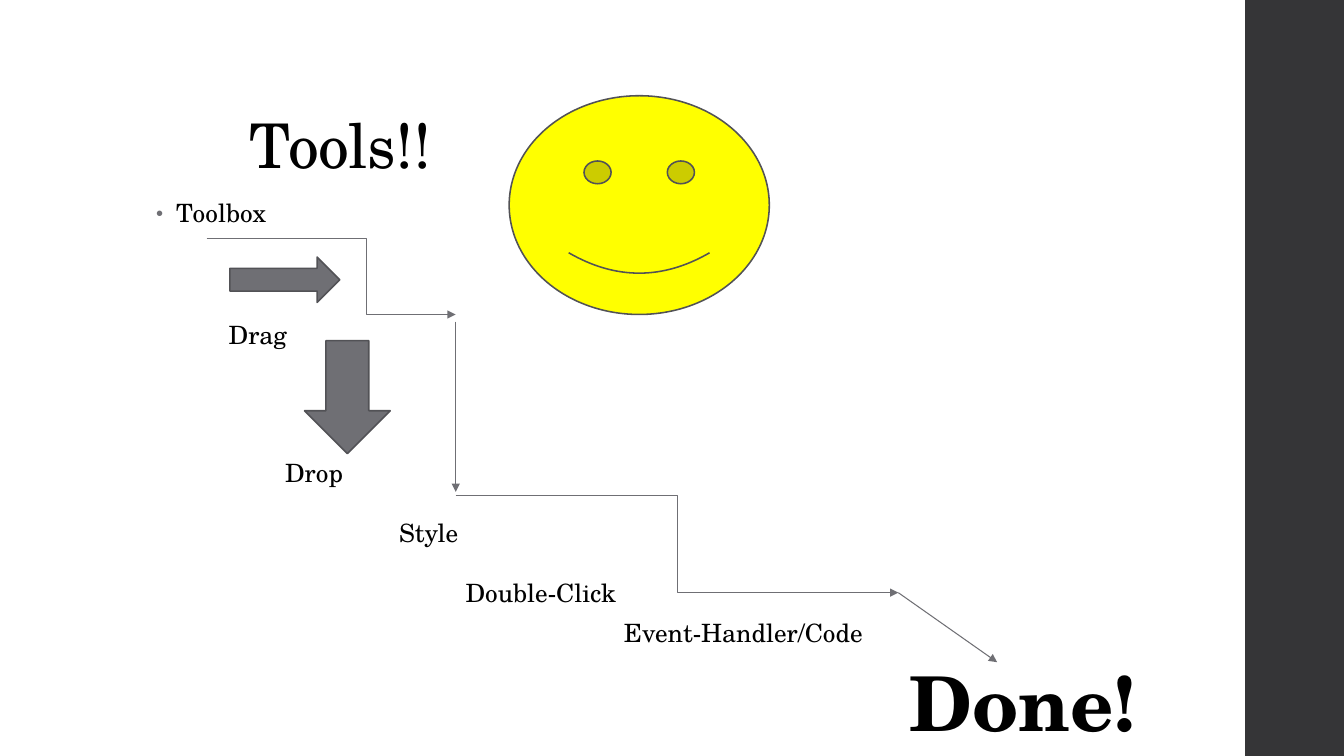
import pptx
import pptx.util
import pptx.oxml
import pptx.oxml.ns
from dataclasses import dataclass
from pptx.dml.color import RGBColor
from pptx.enum.shapes import MSO_CONNECTOR, MSO_SHAPE
from pptx.enum.text import MSO_ANCHOR, PP_ALIGN

Inches, Pt = pptx.util.Inches, pptx.util.Pt
NS = pptx.oxml.ns.nsdecls("a")


@dataclass
class Theme:
    font: str = "TeX Gyre Schola"
    text: str = "000000"
    band: str = "353537"
    gray: str = "6F6F74"
    edge: str = "525256"
    smiley: str = "FFFF00"
    white: str = "FFFFFF"
    title: int = 44
    body: int = 18
    done: int = 54


theme = Theme()
prs = pptx.Presentation()
prs.slide_width, prs.slide_height = Inches(13.33), Inches(7.5)
s = prs.slides.add_slide(prs.slide_layouts[6])


def add_text(text, box, size, wrap=True):
    tb = s.shapes.add_textbox(*map(Inches, box))
    tf = tb.text_frame
    tf.word_wrap = wrap
    p = tf.paragraphs[0]
    r = p.add_run()
    r.text = text
    r.font.name = theme.font
    r.font.size = Pt(size)
    r.font.color.rgb = RGBColor.from_string(theme.text)
    return tf, p, r


def add_preset(kind, box, fill, edge=None):
    sp = s.shapes.add_shape(kind, *map(Inches, box))
    sp.shadow.inherit = False
    sp.fill.solid()
    sp.fill.fore_color.rgb = RGBColor.from_string(fill)
    if edge:
        sp.line.color.rgb = RGBColor.from_string(edge)
        sp.line.width = Pt(1.1)
    else:
        sp.line.fill.background()


# Side band
add_preset(MSO_SHAPE.RECTANGLE, (12.35, 0, 1, 7.5), theme.band)

# Title, indented one inch
tf, p, r = add_text("Tools!!", (1.38, 0.4, 10.6, 1.45), theme.title)
tf.vertical_anchor = MSO_ANCHOR.BOTTOM
p.line_spacing = 0.9
p._p.get_or_add_pPr().set("marL", str(Inches(1)))
r._r.get_or_add_rPr().set("spc", "-50")

# Bulleted first step
tf, p, r = add_text("Toolbox", (1.45, 1.93, 9.4, 4.76), theme.body)
p.line_spacing = 0.95
p.space_before, p.space_after = Pt(14), Pt(2)
pPr = p._p.get_or_add_pPr()
pPr.set("marL", str(Inches(0.2)))
pPr.set("indent", str(Inches(-0.2)))
for bullet in (f'<a:buClr {NS}><a:srgbClr val="{theme.gray}"/></a:buClr>',
               f'<a:buSzPct {NS} val="80000"/>',
               f'<a:buFont {NS} typeface="Arial"/>',
               f'<a:buChar {NS} char="•"/>'):
    pPr.append(pptx.oxml.parse_xml(bullet))
r._r.get_or_add_rPr().set("spc", "10")

# Block arrows and smiley
for kind, box, fill in (
    (MSO_SHAPE.RIGHT_ARROW, (2.28, 2.55, 1.09, 0.45), theme.gray),
    (MSO_SHAPE.DOWN_ARROW, (3.02, 3.38, 0.85, 1.12), theme.gray),
    (MSO_SHAPE.SMILEY_FACE, (5.05, 0.95, 2.58, 2.17), theme.smiley),
):
    add_preset(kind, box, fill, theme.edge)

# Step labels
for label, left, top, width in (
    ("Drag", 2.17, 3.12, 1),
    ("Drop", 2.73, 4.49, 1.53),
    ("Style", 3.86, 5.08, 1.18),
    ("Double-Click", 4.52, 5.68, 1.77),
    ("Event-Handler/Code", 6.09, 6.08, 2.62),
):
    add_text(label, (left, top, width, 0.4), theme.body)

# Final step, bold with a white outline
tf, p, r = add_text("Done!", (8.91, 6.46, 2.47, 1.01), theme.done, wrap=False)
p.alignment = PP_ALIGN.CENTER
r.font.bold = True
r._r.get_or_add_rPr().insert(0, pptx.oxml.parse_xml(
    f'<a:ln {NS} w="{Pt(0.75)}"><a:solidFill><a:srgbClr val="{theme.white}"/>'
    '</a:solidFill></a:ln>'))

# Staircase of connectors; bend is the share of the width before the turn
for x1, y1, x2, y2, bend in (
    (2.05, 2.37, 4.52, 3.12, 0.643),
    (4.52, 3.19, 4.52, 4.88, None),
    (4.52, 4.92, 8.91, 5.88, 0.5),
    (8.91, 5.88, 9.89, 6.57, None),
):
    kind = MSO_CONNECTOR.ELBOW if bend else MSO_CONNECTOR.STRAIGHT
    cn = s.shapes.add_connector(kind, *map(Inches, (x1, y1, x2, y2)))
    cn.line.color.rgb = RGBColor.from_string(theme.gray)
    cn.line.width = Pt(0.75)
    cn.line._get_or_add_ln().append(
        pptx.oxml.parse_xml(f'<a:tailEnd {NS} type="triangle"/>'))
    spPr = cn._element.spPr
    spPr.append(pptx.oxml.parse_xml(f'<a:effectLst {NS}/>'))
    if bend:
        geom = spPr.find(pptx.oxml.ns.qn("a:prstGeom"))
        geom.get_or_add_avLst().append(pptx.oxml.parse_xml(
            f'<a:gd {NS} name="adj1" fmla="val {round(bend * 100000)}"/>'))

prs.save("out.pptx")
